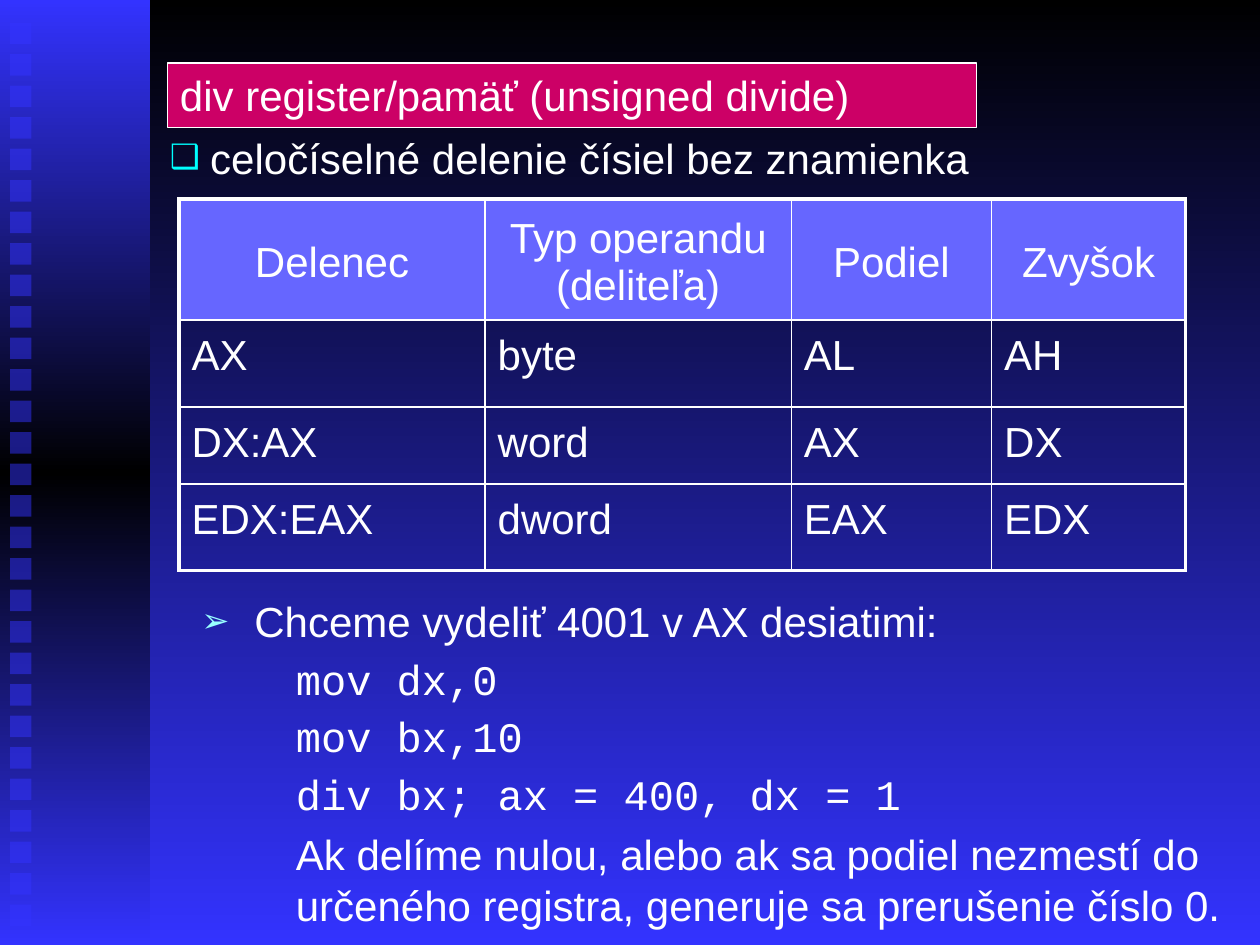
from copy import deepcopy

from lxml.etree import SubElement
from pptx import Presentation
from pptx.dml.color import RGBColor
from pptx.enum.shapes import MSO_SHAPE as SHAPE
from pptx.enum.text import MSO_ANCHOR as ANCHOR, PP_ALIGN as ALIGN
from pptx.oxml.ns import qn
from pptx.util import Inches, Pt

WHITE, BLACK, BLUE = "FFFFFF", "000000", "3333FF"
PINK, HEADER_BLUE = "CC0066", "6666FF"


def color(hex_value):
    """Turn a hex string into a colour."""
    return RGBColor.from_string(hex_value)


def write(paragraph, text, font="Arial", before=0, left=0, hanging=0, bullet=None):
    """Write one white 24-point paragraph with optional (character, colour) bullet."""
    run = paragraph.add_run()
    run.text = text
    run.font.name = font
    run.font.size = Pt(24)
    run.font.color.rgb = color(WHITE)
    paragraph.space_before = Pt(before)
    props = paragraph._p.get_or_add_pPr()
    props.set("marL", str(Inches(left)))
    props.set("indent", str(-Inches(hanging)))
    if bullet:
        character, bullet_color = bullet
        tint = SubElement(props, qn("a:buClr"))
        SubElement(tint, qn("a:srgbClr"), val=bullet_color)
        SubElement(props, qn("a:buSzPct"), val="80000")
        SubElement(props, qn("a:buFont"), typeface="Wingdings")
        SubElement(props, qn("a:buChar"), char=character)
        props.find(qn("a:buFont")).set("typeface", "Arial")
    else:
        SubElement(props, qn("a:buNone"))


deck = Presentation()
deck.slide_width, deck.slide_height = Inches(10), Inches(7.5)
slide = deck.slides.add_slide(deck.slide_layouts[6])
shapes = slide.shapes

# Background and side band
sideband = shapes.add_shape(SHAPE.RECTANGLE, 0, 0, Inches(1.19), Inches(7.5))
sideband.shadow.inherit = False
sideband.line.fill.background()
for fill, ends in ((slide.background.fill, (BLACK, BLUE)), (sideband.fill, (BLUE, BLUE))):
    fill.gradient()
    fill.gradient_angle = 270
    for position, (stop, end) in enumerate(zip(fill.gradient_stops, ends)):
        stop.position = position
        stop.color.rgb = color(end)
stops = next(sideband._element.iter(qn("a:gsLst")))
stops.insert(1, deepcopy(stops[0]))
middle = sideband.fill.gradient_stops[1]
middle.position = 0.5
middle.color.rgb = color(BLACK)

# Column of half-transparent squares
for index in range(29):
    square = shapes.add_shape(SHAPE.RECTANGLE, Inches(0.08), Inches(0.18 + 0.25 * index),
                              Inches(0.17), Inches(0.17))
    square.shadow.inherit = False
    square.line.fill.background()
    square.fill.solid()
    square.fill.fore_color.rgb = color(BLUE)
    tint = next(square._element.spPr.iter(qn("a:srgbClr")))
    SubElement(tint, qn("a:alpha"), val="50000")

# Example with code
example = shapes.add_textbox(Inches(1.25), Inches(4.68), Inches(8.75), Inches(2.73)).text_frame
example.word_wrap = True
write(example.paragraphs[0], "Chceme vydeliť 4001 v AX desiatimi:", before=3,
      left=0.67, hanging=0.42, bullet=("➢", "99FFFF"))
for code in ("mov dx,0", "mov bx,10", "div bx; ax = 400, dx = 1"):
    write(example.add_paragraph(), code, "Courier New", before=4, left=1)
write(example.add_paragraph(),
      "Ak delíme nulou, alebo ak sa podiel nezmestí do určeného registra, "
      "generuje sa prerušenie číslo 0.", before=6, left=1)

# Instruction heading and its meaning
heading = shapes.add_shape(SHAPE.RECTANGLE, Inches(1.33), Inches(0.5), Inches(6.42), Inches(0.51))
heading.shadow.inherit = False
heading.fill.solid()
heading.fill.fore_color.rgb = color(PINK)
heading.line.color.rgb = color(WHITE)
heading.line.width = Pt(0.75)
heading.text_frame.word_wrap = True
heading.text_frame.vertical_anchor = ANCHOR.TOP
heading.text_frame.paragraphs[0].alignment = ALIGN.LEFT
write(heading.text_frame.paragraphs[0], "div register/pamäť (unsigned divide)", before=2)

meaning = shapes.add_textbox(Inches(1.25), Inches(1), Inches(8.75), Inches(0.5)).text_frame
meaning.word_wrap = True
write(meaning.paragraphs[0], "celočíselné delenie čísiel bez znamienka", before=2,
      left=0.32, hanging=0.32, bullet=("❑", "00FFFF"))

# Register table
registers = (
    ("Delenec", "Typ operandu (deliteľa)", "Podiel", "Zvyšok"),
    ("AX", "byte", "AL", "AH"),
    ("DX:AX", "word", "AX", "DX"),
    ("EDX:EAX", "dword", "EAX", "EDX"),
)
column_widths = (2.43, 2.43, 1.59, 1.54)
row_heights = (0.96, 0.69, 0.61, 0.69)
table = shapes.add_table(4, 4, Inches(1.42), Inches(1.58), Inches(sum(column_widths)),
                         Inches(sum(row_heights))).table
for column, width in zip(table.columns, column_widths):
    column.width = Inches(width)
for row, height in zip(table.rows, row_heights):
    row.height = Inches(height)
margins = {"margin_left": 0.1, "margin_top": 0.1, "margin_right": 0.1, "margin_bottom": 0.05}
for r, texts in enumerate(registers):
    for c, text in enumerate(texts):
        cell = table.cell(r, c)
        for name, margin in margins.items():
            setattr(cell, name, Inches(margin))
        paragraph = cell.text_frame.paragraphs[0]
        write(paragraph, text)
        outer = {"a:lnL": c == 0, "a:lnR": c == 3, "a:lnT": r == 0, "a:lnB": r == 3}
        cell_props = cell._tc.get_or_add_tcPr()
        for side, is_outer in outer.items():
            border = SubElement(cell_props, qn(side), w=str(Pt(2.25 if is_outer else 1)))
            SubElement(SubElement(border, qn("a:solidFill")), qn("a:srgbClr"), val=WHITE)
        if r == 0:
            paragraph.alignment = ALIGN.CENTER
            cell.vertical_anchor = ANCHOR.MIDDLE
            cell.fill.solid()
            cell.fill.fore_color.rgb = color(HEADER_BLUE)
        else:
            cell.fill.background()

deck.save("out.pptx")
